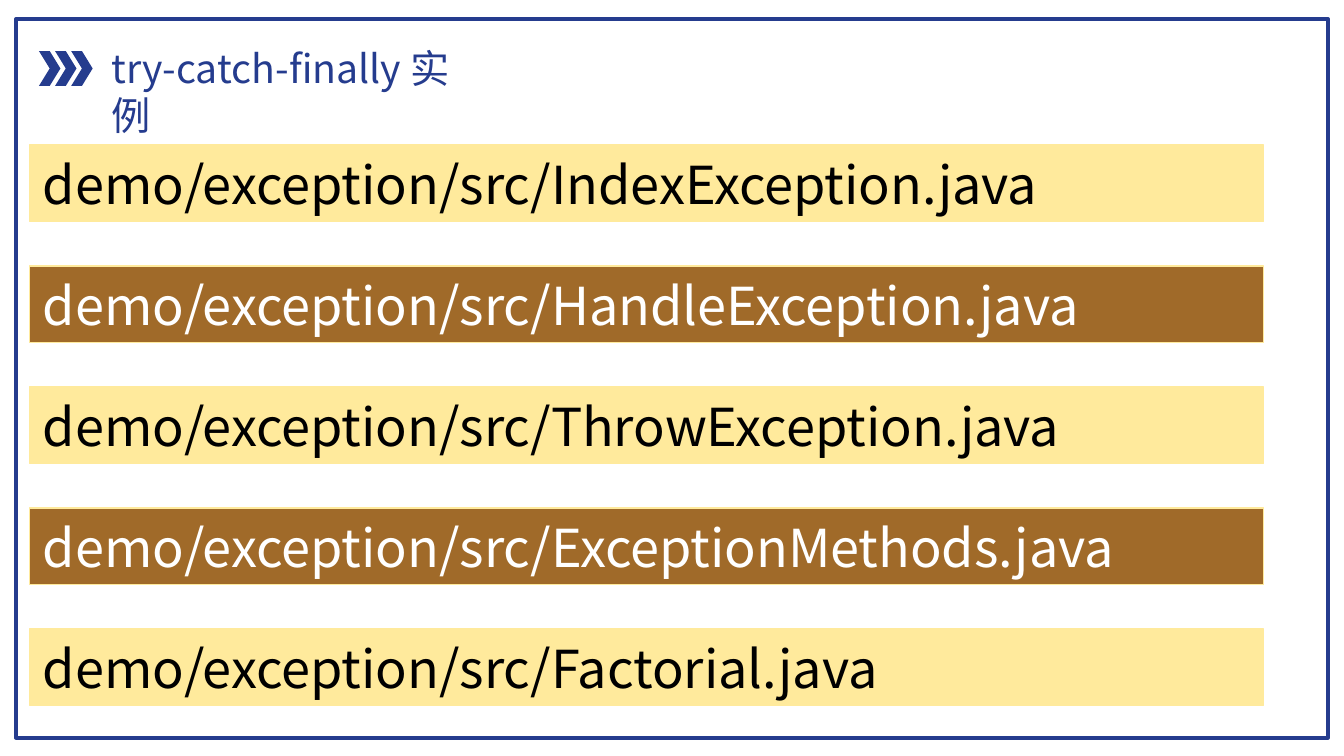
from pptx import Presentation
from pptx.dml.color import RGBColor
from pptx.enum.shapes import MSO_SHAPE
from pptx.enum.text import MSO_ANCHOR, PP_ALIGN
from pptx.util import Inches, Pt

TITLE = "try-catch-finally 实例"
FOLDER = "demo/exception/src/"
FILES = [
    "IndexException.java",
    "HandleException.java",
    "ThrowException.java",
    "ExceptionMethods.java",
    "Factorial.java",
]
FONT = "Noto Sans CJK SC"
NAVY = RGBColor(0x25, 0x3C, 0x8E)
YELLOW = RGBColor(0xFF, 0xEA, 0x9C)
BROWN = RGBColor(0xA0, 0x6A, 0x29)
BLACK = RGBColor(0, 0, 0)
WHITE = RGBColor(0xFF, 0xFF, 0xFF)
BAR_STYLES = [(YELLOW, BLACK), (BROWN, WHITE)]


def add_box(page, kind, place, fill=None, line=None, width=0.75):
    box = page.shapes.add_shape(kind, *map(Inches, place))
    box.shadow.inherit = False
    if fill is None:
        box.fill.background()
    else:
        box.fill.solid()
        box.fill.fore_color.rgb = fill
    if line is None:
        box.line.fill.background()
    else:
        box.line.color.rgb = line
        box.line.width = Pt(width)
    return box


def write(box, text, size, color, anchor=MSO_ANCHOR.MIDDLE):
    frame = box.text_frame
    frame.word_wrap = True
    frame.vertical_anchor = anchor
    para = frame.paragraphs[0]
    para.alignment = PP_ALIGN.LEFT
    span = para.add_run()
    span.text = text
    span.font.name = FONT
    span.font.size = Pt(size)
    span.font.color.rgb = color


deck = Presentation()
deck.slide_width = Inches(10)
deck.slide_height = deck.slide_width * 9 // 16
page = deck.slides.add_slide(deck.slide_layouts[6])

add_box(page, MSO_SHAPE.RECTANGLE, (0.12, 0.14, 9.76, 5.35), line=NAVY, width=2)
for index in range(3):
    add_box(page, MSO_SHAPE.CHEVRON, (0.29 + 0.12 * index, 0.38, 0.16, 0.26), fill=NAVY)

title = page.shapes.add_textbox(Inches(0.73), Inches(0.28), Inches(2.95), Inches(0.45))
write(title, TITLE, 21, NAVY, anchor=MSO_ANCHOR.TOP)

for index, file in enumerate(FILES):
    fill, color = BAR_STYLES[index % 2]
    place = (0.22, 1.08 + 0.9 * index, 9.18, 0.57)
    bar = add_box(page, MSO_SHAPE.RECTANGLE, place, fill=fill, line=YELLOW)
    write(bar, FOLDER + file, 28, color)

deck.save("out.pptx")
